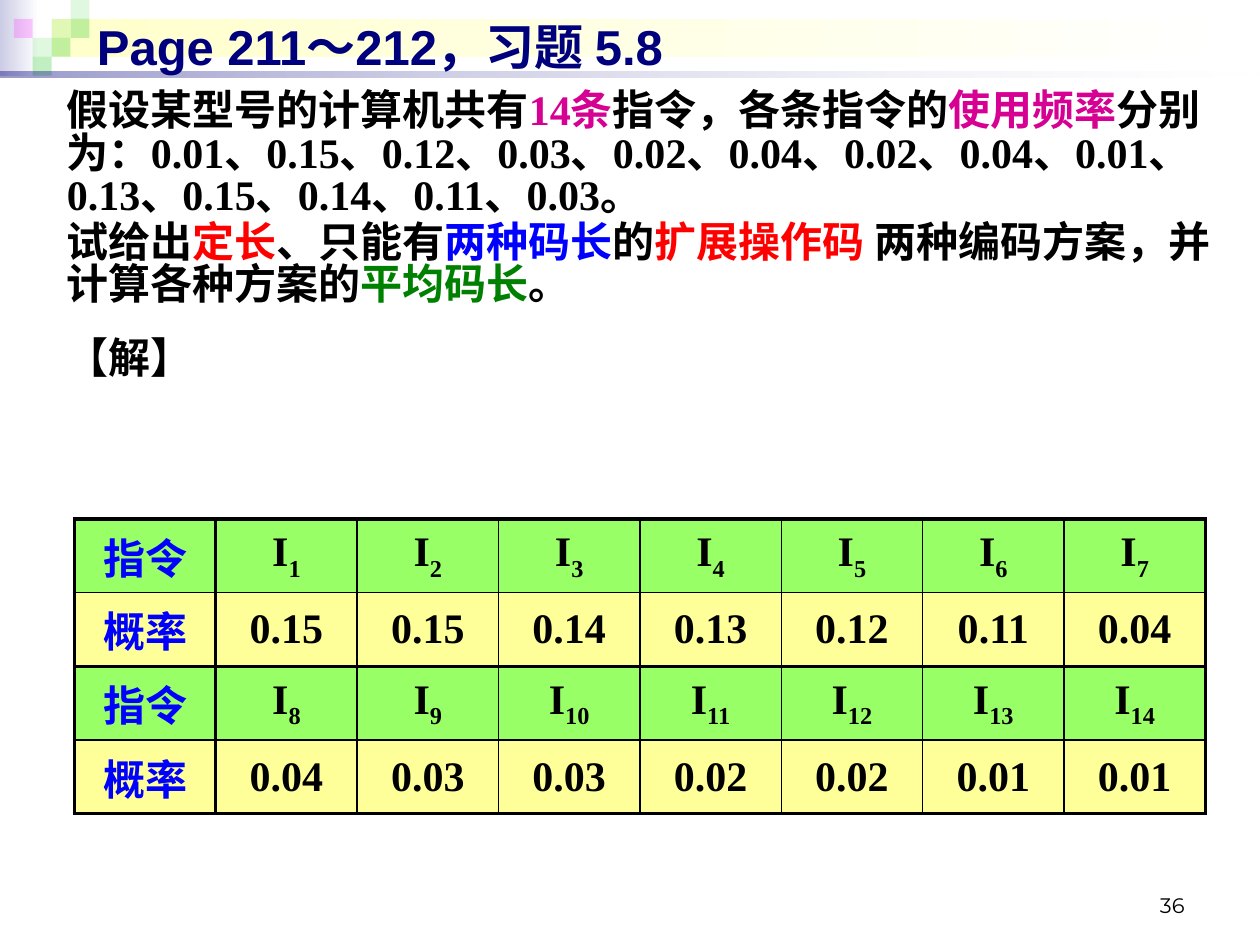
from lxml import etree
from pptx import Presentation
from pptx.dml.color import RGBColor
from pptx.enum.shapes import MSO_SHAPE
from pptx.enum.text import MSO_ANCHOR, MSO_AUTO_SIZE, PP_ALIGN
from pptx.oxml.ns import qn
from pptx.util import Pt

RECTANGLE = MSO_SHAPE.RECTANGLE
TOP, MIDDLE, BOTTOM = MSO_ANCHOR.TOP, MSO_ANCHOR.MIDDLE, MSO_ANCHOR.BOTTOM
LEFT, CENTER, RIGHT = PP_ALIGN.LEFT, PP_ALIGN.CENTER, PP_ALIGN.RIGHT
NO_AUTOFIT = MSO_AUTO_SIZE.NONE

SERIF, SANS, CHINESE = "Times New Roman", "Arial", "Noto Sans CJK SC"
BLACK, NAVY, BLUE, RED = "000000", "00007D", "0000FF", "FF0000"
PINK, DARK_GREEN = "D60093", "008000"
SQUARE_GREEN, SQUARE_PINK = "33CC33", "FF00FF"
HEADER_FILL, VALUE_FILL = "99FF66", "FFFF99"

QUESTION = [
    (0, [("假设某型号的计算机共有", BLACK), ("14条", PINK),
         ("指令，各条指令的", BLACK), ("使用频率", PINK),
         ("分别为：0.01、0.15、0.12、0.03、0.02、0.04、0.02、0.04、"
          "0.01、0.13、0.15、0.14、0.11、0.03。", BLACK)]),
    (2.4, [("试给出", BLACK), ("定长", RED), ("、只能有", BLACK),
           ("两种码长", BLUE), ("的", BLACK), ("扩展操作码", RED),
           (" 两种编码方案，并计算各种方案的", BLACK),
           ("平均码长", DARK_GREEN), ("。", BLACK)]),
    (18, [("【解】", BLACK)]),
]
PROBABILITIES = [
    ["0.15", "0.15", "0.14", "0.13", "0.12", "0.11", "0.04"],
    ["0.04", "0.03", "0.03", "0.02", "0.02", "0.01", "0.01"],
]


def color(value):
    return RGBColor.from_string(value)


def set_font(font, size, name, value, bold=True):
    font.size, font.name, font.bold = Pt(size), name, bold
    font.color.rgb = color(value)
    latin = font._element.find(qn("a:latin"))
    east_asian = etree.Element(qn("a:ea"), typeface=CHINESE)
    latin.addnext(east_asian)


def set_opacity(shape, percents):
    for tint, percent in zip(shape.element.spPr.iter(qn("a:srgbClr")), percents):
        etree.SubElement(tint, qn("a:alpha"), val=str(percent * 1000))


def place(shape, box):
    shape.left, shape.top, shape.width, shape.height = (Pt(n) for n in box)


def add_block(page, box):
    block = page.shapes.add_shape(RECTANGLE, *(Pt(n) for n in box))
    block.shadow.inherit = False
    block.line.fill.background()
    return block


def add_gradient(page, box, start, end, opacity=()):
    band = add_block(page, box)
    band.fill.gradient()
    band.fill.gradient_angle = 0
    for stop, value in zip(band.fill.gradient_stops, (start, end)):
        stop.color.rgb = color(value)
    set_opacity(band, opacity)


def add_banner(page, box):
    left, top, width, height = box
    add_gradient(page, (left, top, 22.3, height - 1.4), "CCCCE6", "FFFFFF")
    add_gradient(page, (left + 29.5, top + 10.8, 687.6, 21.6), "FFFFCC", "FFFFFF")
    # Squares on a grid: column, row, colour, opacity
    side = 10.8
    squares = [(2, 1, SQUARE_GREEN, 15), (3, 0, SQUARE_GREEN, 15),
               (3, 1, SQUARE_GREEN, 30), (1, 2, SQUARE_GREEN, 15),
               (0, 1, SQUARE_PINK, 20), (2, 2, SQUARE_GREEN, 30),
               (1, 3, SQUARE_GREEN, 30)]
    for column, row, value, opacity in squares:
        square = add_block(page, (left + 7.9 + column * side, top + row * side, side, side))
        square.fill.solid()
        square.fill.fore_color.rgb = color(value)
        set_opacity(square, [opacity])
    # Rule under the banner
    add_gradient(page, (left, top + height - 3.6, width, 3.6), NAVY, "FFFFFF", (40, 10))


def bring_to_front(shape):
    shape.element.getparent().append(shape.element)


def fill_title(title, box):
    place(title, box)
    bring_to_front(title)
    frame = title.text_frame
    frame.auto_size, frame.vertical_anchor = NO_AUTOFIT, MIDDLE
    para = frame.paragraphs[0]
    para.alignment = LEFT
    for text, name in (("Page 211～212", SANS), ("，", CHINESE), ("习题 5.8", SANS)):
        span = para.add_run()
        span.text = text
        set_font(span.font, 28, name, NAVY)


def fill_question(body, box):
    place(body, box)
    bring_to_front(body)
    frame = body.text_frame
    frame.auto_size, frame.vertical_anchor = NO_AUTOFIT, TOP
    for index, (space, spans) in enumerate(QUESTION):
        para = frame.add_paragraph() if index else frame.paragraphs[0]
        para.space_before, para.line_spacing = Pt(space), 0.84
        properties = para._p.get_or_add_pPr()
        properties.set("marL", "0")
        properties.set("indent", "0")
        etree.SubElement(properties, qn("a:buNone"))
        for text, value in spans:
            span = para.add_run()
            span.text = text
            set_font(span.font, 24, SERIF, value)


def set_borders(cell, row, column):
    edges = (("a:lnL", column in (0, 1)), ("a:lnR", column in (0, 7)),
             ("a:lnT", row % 2 == 0), ("a:lnB", row % 2 == 1))
    properties = cell._tc.get_or_add_tcPr()
    for index, (tag, thick) in enumerate(edges):
        line = etree.Element(qn(tag), w=str(Pt(2.25 if thick else 1)))
        fill = etree.SubElement(line, qn("a:solidFill"))
        etree.SubElement(fill, qn("a:srgbClr"), val=BLACK)
        properties.insert(index, line)


def fill_cell(cell, text, subscript, value):
    cell.vertical_anchor = MIDDLE
    para = cell.text_frame.paragraphs[0]
    para.alignment = CENTER
    for part in filter(None, (text, subscript)):
        span = para.add_run()
        span.text = part
        set_font(span.font, 24, SERIF, value)
        if part == subscript:
            span.font._element.set("baseline", "-25000")


def add_probability_table(page, box):
    rows = []
    for group, values in enumerate(PROBABILITIES):
        first = group * len(values) + 1
        names = [("I", str(first + offset)) for offset in range(len(values))]
        rows.append([("指令", "")] + names)
        rows.append([("概率", "")] + [(number, "") for number in values])
    table = page.shapes.add_table(len(rows), len(rows[0]), *(Pt(n) for n in box)).table
    for row, entries in enumerate(rows):
        for column, (text, subscript) in enumerate(entries):
            cell = table.cell(row, column)
            fill_cell(cell, text, subscript, BLACK if column else BLUE)
            cell.fill.solid()
            cell.fill.fore_color.rgb = color(VALUE_FILL if row % 2 else HEADER_FILL)
            set_borders(cell, row, column)


def add_page_number(page, box):
    number = page.shapes.add_textbox(*(Pt(n) for n in box))
    frame = number.text_frame
    frame.word_wrap, frame.vertical_anchor = True, BOTTOM
    para = frame.paragraphs[0]
    para.text, para.alignment = "36", RIGHT
    set_font(para.font, 12, "Montserrat", BLACK, bold=False)


def main():
    deck = Presentation()
    deck.slide_width, deck.slide_height = Pt(720), Pt(540)
    page = deck.slides.add_slide(deck.slide_layouts[1])
    title, body = page.placeholders
    add_banner(page, (0, 0, 720, 44.6))
    add_page_number(page, (516, 492, 168, 36))
    fill_title(title, (48.2, 3.6, 658, 45.4))
    fill_question(body, (31, 49, 669, 244))
    add_probability_table(page, (42.5, 296.6, 646.4, 168.4))
    deck.save("out.pptx")


if __name__ == "__main__":
    main()
